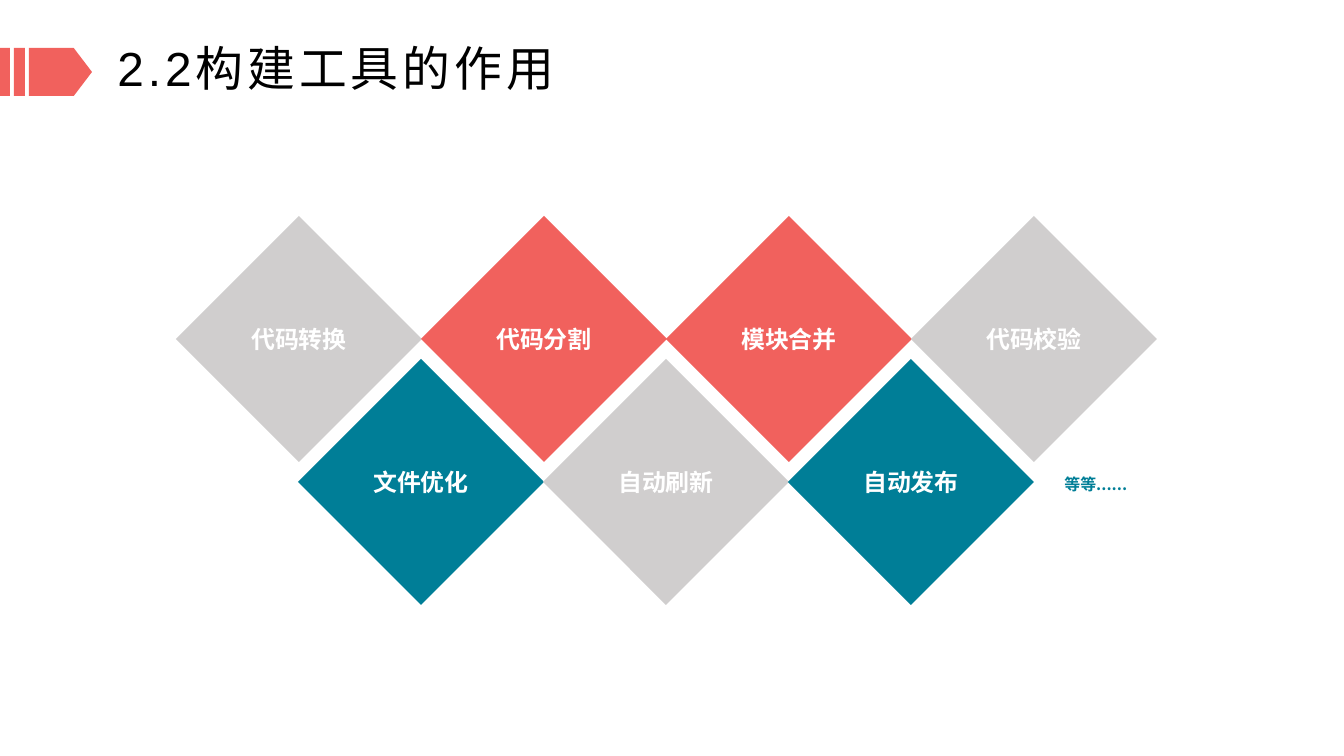
from pptx import Presentation
from pptx.dml.color import RGBColor
from pptx.enum.shapes import MSO_SHAPE as SHAPE
from pptx.enum.text import MSO_ANCHOR as ANCHOR, PP_ALIGN as ALIGN
from pptx.oxml import parse_xml
from pptx.oxml.ns import nsdecls
from pptx.util import Emu, Pt

CORAL = RGBColor(0xF1, 0x61, 0x5D)
TEAL = RGBColor(0x00, 0x7E, 0x97)
GREY = RGBColor(0xD0, 0xCE, 0xCE)
WHITE = RGBColor(0xFF, 0xFF, 0xFF)
BLACK = RGBColor(0, 0, 0)
LATIN, CJK = "Arial", "Noto Sans CJK SC"

TITLE = "2.2构建工具的作用"
MORE = "等等......"
# left of the first diamond, top of the row, (label, colour) of each diamond
ROWS = [
    (176, 216, [("代码转换", GREY), ("代码分割", CORAL),
                ("模块合并", CORAL), ("代码校验", GREY)]),
    (298, 359, [("文件优化", TEAL), ("自动刷新", GREY), ("自动发布", TEAL)]),
]
# shape, left, width
RIBBON = [(SHAPE.RECTANGLE, 0, 10), (SHAPE.RECTANGLE, 14, 11),
          (SHAPE.PENTAGON, 29, 63)]
RIBBON_TOP, RIBBON_HEIGHT = 48, 48
DIAMOND, PITCH = 246, 245
SCALE = 914400 / 95.6


def px(*lengths):
    """Turn pixels into EMU."""
    return [Emu(round(length * SCALE)) for length in lengths]


def write(frame, text, size, color, bold=False, font=LATIN, align=ALIGN.LEFT):
    """Put one styled paragraph into a text frame and return it."""
    frame.vertical_anchor = ANCHOR.MIDDLE
    paragraph = frame.paragraphs[0]
    paragraph.text = text
    paragraph.alignment = align
    style = paragraph.font
    style.name, style.size, style.bold = font, Pt(size), bold
    style.color.rgb = color
    latin = paragraph._p.pPr.defRPr.find(
        "{http://schemas.openxmlformats.org/drawingml/2006/main}latin")
    latin.addnext(parse_xml(f'<a:ea {nsdecls("a")} typeface="{CJK}"/>'))
    return paragraph


def add_block(kind, box, color):
    """Add a flat filled shape without outline."""
    block = slide.shapes.add_shape(kind, *px(*box))
    block.shadow.inherit = False
    block.fill.solid()
    block.fill.fore_color.rgb = color
    block.line.fill.background()
    return block


def add_text(box, *args, **style):
    """Add a wrapping text box and return its paragraph."""
    frame = slide.shapes.add_textbox(*px(*box)).text_frame
    frame.word_wrap = True
    return write(frame, *args, **style)


deck = Presentation()
deck.slide_width, deck.slide_height = px(1344, 756)
slide = deck.slides.add_slide(deck.slide_layouts[6])

for kind, left, width in RIBBON:
    band = add_block(kind, (left, RIBBON_TOP, width, RIBBON_HEIGHT), CORAL)
band.adjustments[0] = 0.38

title = add_text((108, 45, 590, 51), TITLE, 36, BLACK)
title.line_spacing = 0.9
title._p.pPr.defRPr.set("spc", "300")

for start, top, cells in ROWS:
    for column, (label, color) in enumerate(cells):
        diamond = add_block(
            SHAPE.DIAMOND, (start + column * PITCH, top, DIAMOND, DIAMOND), color)
        diamond.text_frame.word_wrap = False
        write(diamond.text_frame, label, 18, WHITE, bold=True, align=ALIGN.CENTER)

add_text((1055, 470, 144, 29), MORE, 12, TEAL, bold=True, font=CJK)

deck.save("out.pptx")
